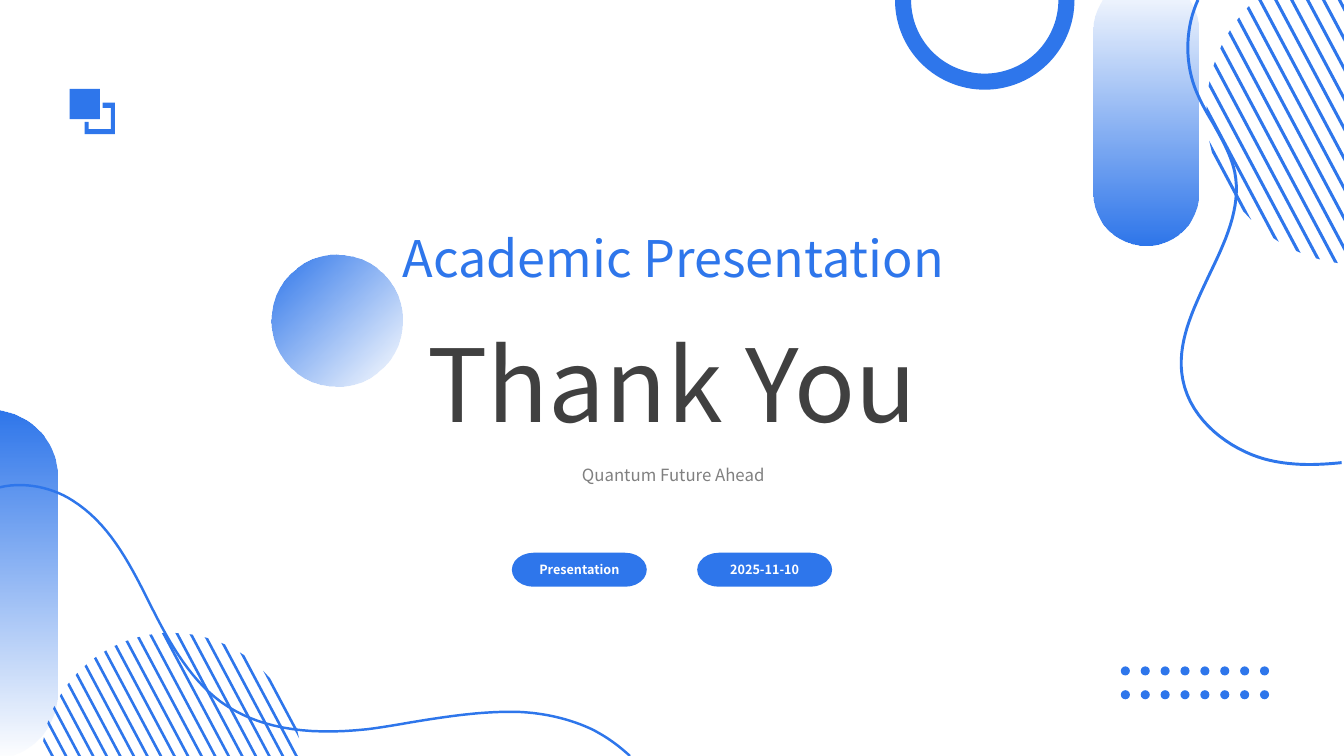
from dataclasses import dataclass
from itertools import product
from math import cos, radians, sin, sqrt

from lxml import etree
from pptx import Presentation
from pptx.dml.color import RGBColor
from pptx.enum import shapes, text
from pptx.oxml import ns
from pptx.util import Pt

BLUE = RGBColor(0x2E, 0x76, 0xEB)
CHARCOAL = RGBColor(0x40, 0x40, 0x40)
GRAY = RGBColor(0x80, 0x80, 0x80)
WHITE = RGBColor(0xFF, 0xFF, 0xFF)
FONT = "Noto Sans CJK SC"

Point = tuple[float, float]
Contour = list[Point]


@dataclass(frozen=True)
class Frame:
    left: float
    top: float
    width: float
    height: float

    def lengths(self) -> list[Pt]:
        return [Pt(value) for value in (self.left, self.top, self.width, self.height)]


@dataclass(frozen=True)
class Caption:
    words: str
    frame: Frame
    size: float
    color: RGBColor
    spacing: float = 1.0
    bold: bool = False


@dataclass(frozen=True)
class StripedDisc:
    center_x: float
    center_y: float
    radius: float
    count: int = 22
    angle: float = 62


@dataclass(frozen=True)
class Wave:
    start: Point
    curves: tuple[tuple[float, ...], ...]
    weight: float


LEFT_DISC = StripedDisc(122.4, 545, 92.9)
RIGHT_DISC = StripedDisc(970.9, 79.9, 109.1)

LEFT_WAVE = Wave((-7.2, 350.3), (
    (11.5, 342.9, 35.3, 346.7, 51.8, 357.5),
    (77, 373.3, 91.4, 399.9, 105.8, 428.8),
    (119.5, 456.2, 133.9, 483.5, 157.7, 501.3),
    (182.9, 519.4, 216.7, 525.8, 262.1, 520.9),
    (273.6, 519.5, 285.8, 517.3, 298.1, 515.2),
    (321.1, 511.5, 345.6, 507.9, 370.1, 508.5),
    (389.5, 509.3, 407.5, 513.7, 423, 521),
    (433.8, 526.5, 442.4, 533, 450, 540),
), 1.75)
RIGHT_WAVE = Wave((855.7, 0), (
    (847.1, 18.7, 846, 41.8, 853.2, 61.9),
    (856.4, 70.6, 861.1, 79.2, 866.2, 87.5),
    (872.6, 99, 879.1, 110, 882, 123.1),
    (887, 148.3, 874.8, 173.5, 863.3, 197.3),
    (851.8, 221.8, 839.9, 246.2, 844.9, 271.4),
    (850.7, 301, 878.8, 321.1, 903.2, 327.9),
    (922, 333, 940.7, 332.3, 958.3, 330.5),
), 2.1)

PILLS = [
    Caption("Presentation", Frame(365.6, 394.8, 96.4, 24.3), 9, WHITE, bold=True),
    Caption("2025-11-10", Frame(498, 394.8, 96.4, 24.3), 9, WHITE, bold=True),
]
HEADINGS = [
    Caption("Thank You", Frame(237.6, 217.4, 484.6, 97.9), 72, CHARCOAL, 1.1),
    Caption("Quantum Future Ahead", Frame(253.4, 324, 455, 43.2), 12, GRAY, 1.3),
    Caption("Academic Presentation", Frame(221, 154.1, 519.8, 52.6), 36, BLUE, 1.1),
]
SQUARES_ICON: list[Contour] = [
    [(73.4, 73.4), (82.1, 73.4), (82.1, 95.8), (60.5, 95.8), (60.5, 87.1),
     (63.4, 87.1), (63.4, 92.2), (79.2, 92.2), (79.2, 77), (73.4, 77)],
    [(49.7, 63.4), (71.3, 63.4), (71.3, 85), (49.7, 85)],
]


def arc(center_x: float, center_y: float, radius: float, start: int, end: int) -> Contour:
    step = 3 if end > start else -3
    return [(center_x + radius * cos(radians(turn)), center_y + radius * sin(radians(turn)))
            for turn in range(start, end + step, step)]


def stripe_contours(disc: StripedDisc) -> list[Contour]:
    along = cos(radians(disc.angle)), sin(radians(disc.angle))
    across = along[1], -along[0]
    gap, half_width = disc.radius * 0.092, disc.radius * 0.01

    def end_point(offset: float, side: int) -> Point:
        reach = side * sqrt(disc.radius ** 2 - offset ** 2)
        return (disc.center_x + across[0] * offset + along[0] * reach,
                disc.center_y + across[1] * offset + along[1] * reach)

    corners = ((-1, -1), (-1, 1), (1, 1), (1, -1))
    middles = [gap * (index - (disc.count - 1) / 2) for index in range(disc.count)]
    return [[end_point(middle + edge * half_width, side) for edge, side in corners]
            for middle in middles]


def wave_points(wave: Wave, steps: int = 16) -> Contour:
    points = [wave.start]
    for x1, y1, x2, y2, x3, y3 in wave.curves:
        x0, y0 = points[-1]
        for step in range(1, steps + 1):
            t = step / steps
            a, b, c, d = (1 - t) ** 3, 3 * t * (1 - t) ** 2, 3 * t * t * (1 - t), t ** 3
            points.append((a * x0 + b * x1 + c * x2 + d * x3,
                           a * y0 + b * y1 + c * y2 + d * y3))
    return points


def paint(shape) -> None:
    shape.shadow.inherit = False
    shape.fill.solid()
    shape.fill.fore_color.rgb = BLUE
    shape.line.fill.background()


def paint_fading(shape, angle: float) -> None:
    paint(shape)
    shape.fill.gradient()
    shape.fill.gradient_angle = angle
    for stop, position in zip(shape.fill.gradient_stops, (0, 1)):
        stop.color.rgb = BLUE
        stop.position = position
    faded = shape.element.xpath(".//a:gs/a:srgbClr")[-1]
    etree.SubElement(faded, ns.qn("a:alpha"), val="0")


def draw_outline(page, contours: list[Contour], close: bool = True):
    placed = [[(Pt(x), Pt(y)) for x, y in contour] for contour in contours]
    builder = page.shapes.build_freeform(*placed[0][0])
    for index, contour in enumerate(placed):
        if index:
            builder.move_to(*contour[0])
        builder.add_line_segments(contour[1:], close=close)
    shape = builder.convert_to_shape()
    paint(shape)
    return shape


def draw_wave(page, wave: Wave) -> None:
    shape = draw_outline(page, [wave_points(wave)], close=False)
    shape.fill.background()
    shape.line.color.rgb = BLUE
    shape.line.width = Pt(wave.weight)


def write(box, caption: Caption) -> None:
    box.text_frame.word_wrap = True
    para = box.text_frame.paragraphs[0]
    para.alignment = text.PP_ALIGN.CENTER
    para.line_spacing = caption.spacing
    span = para.add_run()
    span.text = caption.words
    span.font.name = FONT
    span.font.size = Pt(caption.size)
    span.font.bold = caption.bold
    span.font.color.rgb = caption.color


def draw_pill(page, caption: Caption) -> None:
    pill = page.shapes.add_shape(shapes.MSO_SHAPE.FLOWCHART_TERMINATOR, *caption.frame.lengths())
    paint(pill)
    pill.text_frame.vertical_anchor = text.MSO_ANCHOR.MIDDLE
    write(pill, caption)


def draw_heading(page, caption: Caption) -> None:
    box = page.shapes.add_textbox(*caption.frame.lengths())
    write(box, caption)
    box.text_frame.auto_size = text.MSO_AUTO_SIZE.SHAPE_TO_FIT_TEXT


def draw_dots(page) -> None:
    group = page.shapes.add_group_shape()
    for row, column in product(range(2), range(8)):
        frame = Frame(800.6 + 14.2 * column, 476 + 17 * row, 6.5, 6.5)
        paint(group.shapes.add_shape(shapes.MSO_SHAPE.OVAL, *frame.lengths()))


def main() -> None:
    deck = Presentation()
    deck.slide_width, deck.slide_height = Pt(960), Pt(540)
    page = deck.slides.add_slide(deck.slide_layouts[6])

    draw_outline(page, stripe_contours(LEFT_DISC))
    panel = [(-7.2, 292.4), *arc(-7.2, 340.8, 48.4, 270, 360),
             *arc(-7.2, 493.8, 48.4, 0, 90)]
    paint_fading(draw_outline(page, [panel]), 270)
    ball = page.shapes.add_shape(shapes.MSO_SHAPE.OVAL, *Frame(193.7, 181.9, 94, 94).lengths())
    paint_fading(ball, 0)
    ball.rotation = 44.4
    draw_wave(page, LEFT_WAVE)
    draw_wave(page, RIGHT_WAVE)
    draw_outline(page, [arc(703.4, 0, 64.1, 180, 0) + arc(703.4, 0, 52.6, 0, 180)])
    capsule = page.shapes.add_shape(
        shapes.MSO_SHAPE.ROUNDED_RECTANGLE, *Frame(781.4, -15.8, 74.9, 191.2).lengths())
    capsule.adjustments[0] = 0.5
    paint_fading(capsule, 90)
    for caption in PILLS:
        draw_pill(page, caption)
    for caption in HEADINGS:
        draw_heading(page, caption)
    draw_outline(page, SQUARES_ICON)
    draw_dots(page)
    draw_outline(page, stripe_contours(RIGHT_DISC))
    deck.save("out.pptx")


if __name__ == "__main__":
    main()
